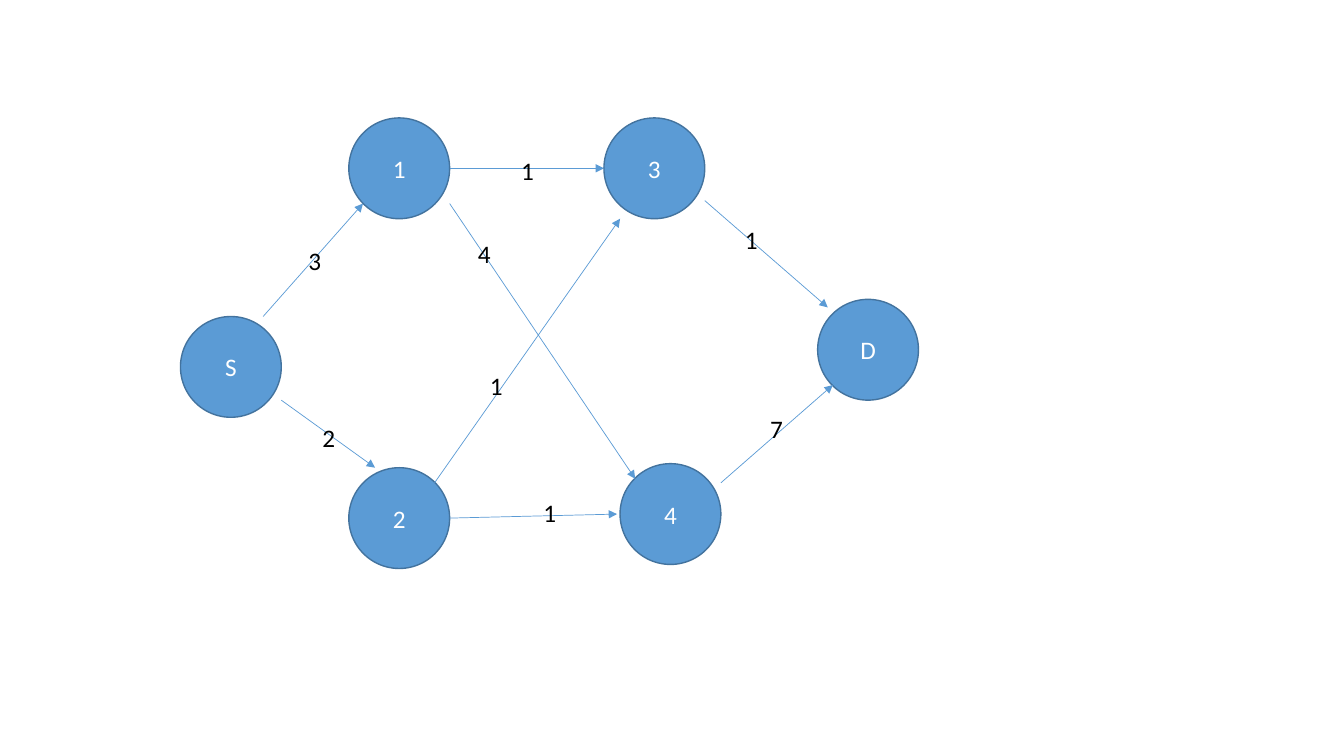
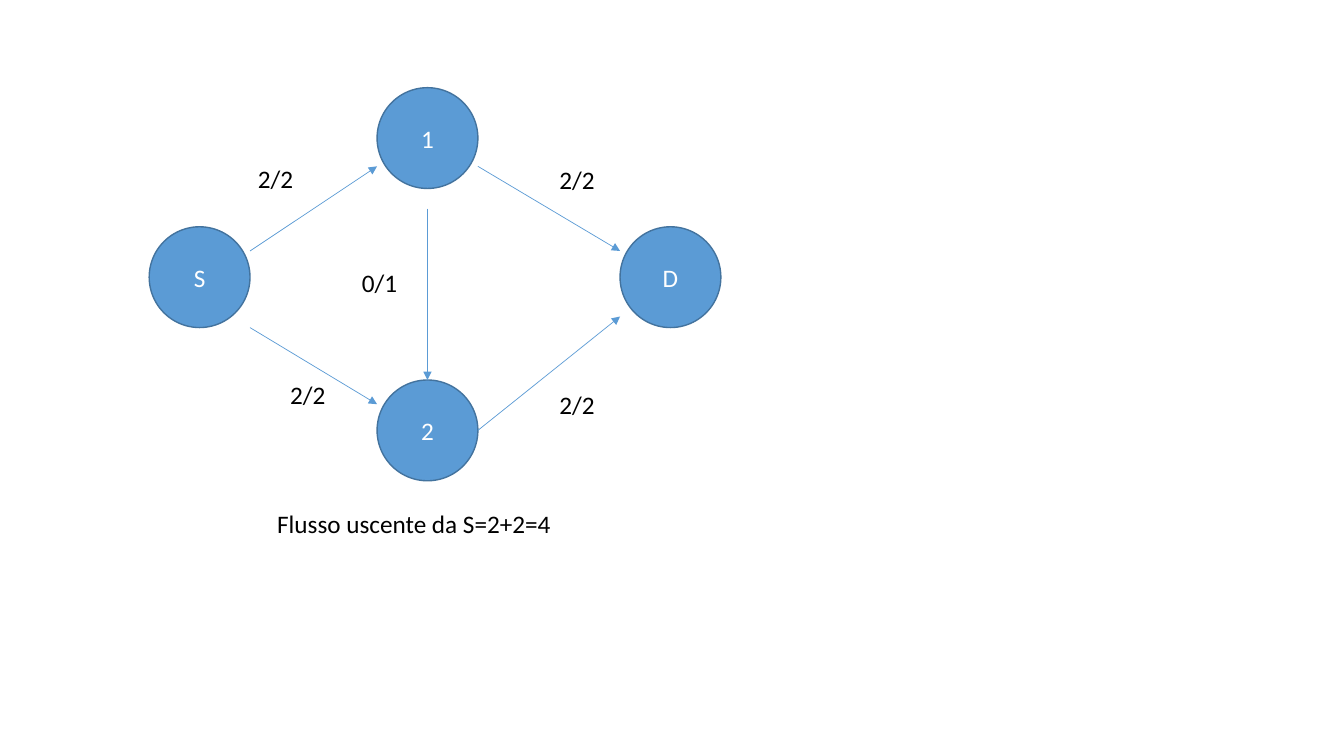
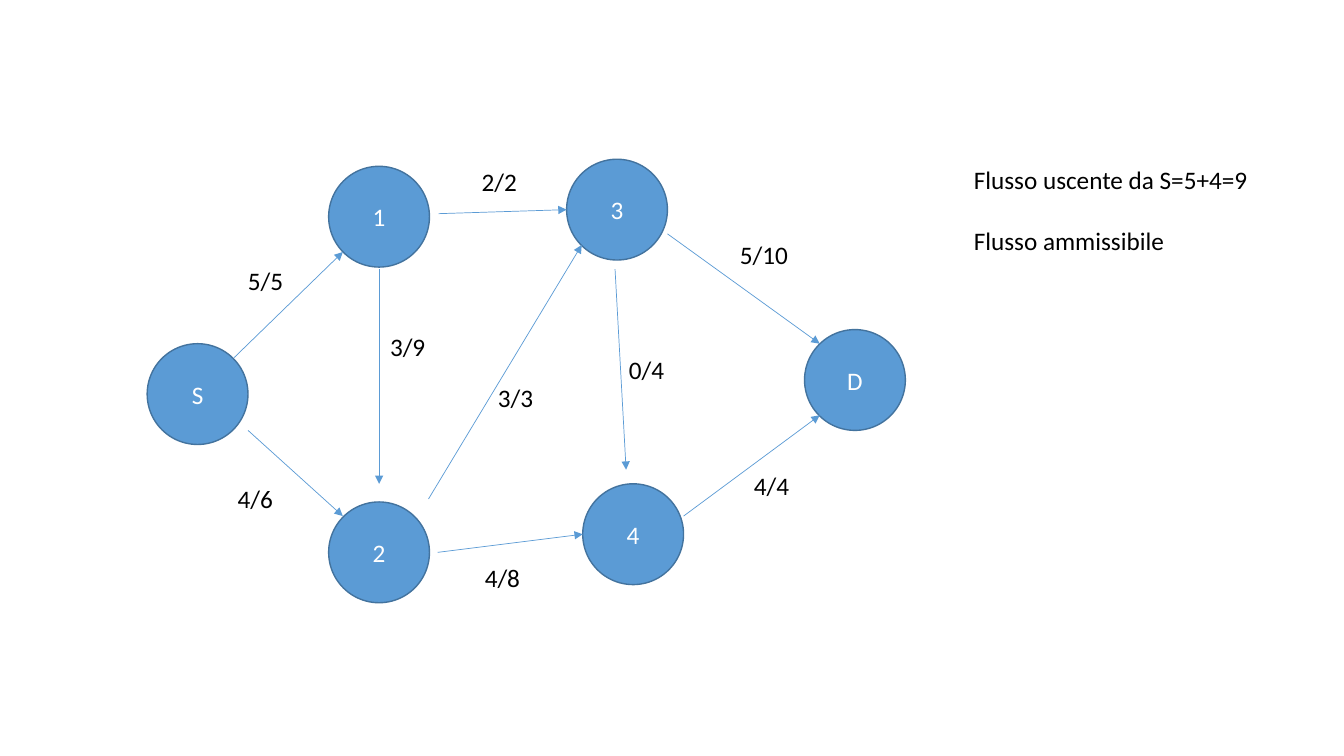
"""Build three slides of flow networks with labelled edges."""

from dataclasses import dataclass

from lxml.etree import SubElement
from pptx import Presentation
from pptx.dml.color import RGBColor
from pptx.enum.shapes import MSO_CONNECTOR, MSO_SHAPE
from pptx.enum.text import MSO_ANCHOR, MSO_AUTO_SIZE, PP_ALIGN
from pptx.oxml.ns import qn
from pptx.shapes.autoshape import Shape
from pptx.slide import Slide
from pptx.util import Emu, Pt

PX_PER_INCH = 100
EMU_PER_PX = 914400 // PX_PER_INCH
SLIDE_W, SLIDE_H = 1333, 750
NODE_SIZE = 100
LABEL_H = 40
LABEL_PADDING, CHAR_W = 20, 12
CAPTION_W = 295

BLUE = RGBColor(0x5B, 0x9B, 0xD5)
DARK_BLUE = RGBColor(0x43, 0x73, 0x9E)
WHITE = RGBColor(0xFF, 0xFF, 0xFF)
BLACK = RGBColor(0x00, 0x00, 0x00)
FONT = "Calibri"
FONT_SIZE = Pt(18)
PARAGRAPH_GAP = Pt(22)


@dataclass(frozen=True)
class Node:
    name: str
    x: int
    y: int


@dataclass(frozen=True)
class Edge:
    x1: int
    y1: int
    x2: int
    y2: int


@dataclass(frozen=True)
class Label:
    text: str
    x: int
    y: int
    w: int = 0
    h: int = LABEL_H


@dataclass(frozen=True)
class Network:
    nodes: list[Node]
    edges: list[Edge]
    labels: list[Label]


NETWORKS = [
    Network(
        nodes=[
            Node("S", 179, 314),
            Node("D", 811, 297),
            Node("4", 615, 460),
            Node("3", 599, 117),
            Node("2", 346, 464),
            Node("1", 346, 117),
        ],
        edges=[
            Edge(261, 314, 360, 202),
            Edge(279, 397, 372, 464),
            Edge(446, 167, 599, 167),
            Edge(446, 202, 630, 475),
            Edge(431, 479, 615, 217),
            Edge(446, 514, 612, 510),
            Edge(699, 199, 821, 305),
            Edge(715, 479, 826, 382),
        ],
        labels=[
            Label("3", 296, 238),
            Label("2", 310, 414),
            Label("1", 507, 149),
            Label("4", 464, 232),
            Label("1", 476, 362),
            Label("1", 529, 488),
            Label("1", 729, 218),
            Label("7", 754, 405),
        ],
    ),
    Network(
        nodes=[
            Node("S", 148, 225),
            Node("D", 615, 225),
            Node("2", 374, 377),
            Node("1", 374, 87),
        ],
        edges=[
            Edge(248, 249, 374, 165),
            Edge(248, 325, 374, 401),
            Edge(424, 207, 424, 377),
            Edge(474, 165, 615, 249),
            Edge(474, 427, 615, 314),
        ],
        labels=[
            Label("2/2", 246, 157),
            Label("2/2", 545, 158),
            Label("2/2", 545, 381),
            Label("2/2", 278, 371),
            Label("0/1", 349, 260),
            Label("Flusso uscente da S=2+2=4", 265, 499, CAPTION_W),
        ],
    ),
    Network(
        nodes=[
            Node("S", 146, 341),
            Node("D", 798, 327),
            Node("4", 578, 480),
            Node("3", 562, 158),
            Node("2", 326, 498),
            Node("1", 326, 165),
        ],
        edges=[
            Edge(232, 355, 340, 250),
            Edge(246, 427, 340, 512),
            Edge(376, 267, 376, 480),
            Edge(435, 212, 562, 208),
            Edge(425, 495, 577, 243),
            Edge(434, 548, 578, 530),
            Edge(610, 267, 621, 466),
            Edge(662, 232, 813, 341),
            Edge(678, 512, 813, 412),
        ],
        labels=[
            Label("5/5", 236, 258),
            Label("4/6", 226, 475),
            Label("3/9", 377, 324),
            Label("2/2", 468, 160),
            Label("3/3", 484, 374),
            Label("4/8", 471, 553),
            Label("0/4", 614, 347),
            Label("5/10", 724, 233),
            Label("4/4", 738, 462),
            Label("Flusso uscente da S=5+4=9\nFlusso ammissibile", 956, 158, CAPTION_W, 101),
        ],
    ),
]


def px(n: int) -> Emu:
    """Turn pixels into EMU."""
    return Emu(n * EMU_PER_PX)


def set_text(
    sp: Shape,
    text: str,
    *,
    color: RGBColor = BLACK,
    align: PP_ALIGN = PP_ALIGN.LEFT,
    anchor: MSO_ANCHOR = MSO_ANCHOR.TOP,
    wrap: bool = False,
    auto_size: MSO_AUTO_SIZE = MSO_AUTO_SIZE.SHAPE_TO_FIT_TEXT,
) -> None:
    """Write one paragraph per line of text."""
    tf = sp.text_frame
    tf.word_wrap = wrap
    tf.auto_size = auto_size
    tf.vertical_anchor = anchor
    for i, line in enumerate(text.split("\n")):
        p = tf.add_paragraph() if i else tf.paragraphs[0]
        p.alignment = align
        if i:
            p.space_before = PARAGRAPH_GAP
        r = p.add_run()
        r.text = line
        r.font.name = FONT
        r.font.size = FONT_SIZE
        r.font.color.rgb = color


def draw_node(s: Slide, node: Node) -> None:
    """Draw a named circle."""
    sp = s.shapes.add_shape(
        MSO_SHAPE.OVAL, px(node.x), px(node.y), px(NODE_SIZE), px(NODE_SIZE)
    )
    sp.shadow.inherit = False
    sp.fill.solid()
    sp.fill.fore_color.rgb = BLUE
    sp.line.color.rgb = DARK_BLUE
    sp.line.width = Pt(1)
    set_text(
        sp,
        node.name,
        color=WHITE,
        align=PP_ALIGN.CENTER,
        anchor=MSO_ANCHOR.MIDDLE,
        wrap=True,
        auto_size=MSO_AUTO_SIZE.NONE,
    )


def draw_edge(s: Slide, edge: Edge) -> None:
    """Draw an arrow."""
    cxn = s.shapes.add_connector(
        MSO_CONNECTOR.STRAIGHT, px(edge.x1), px(edge.y1), px(edge.x2), px(edge.y2)
    )
    cxn.line.color.rgb = BLUE
    cxn.line.width = Pt(0.5)
    sp_pr = cxn._element.spPr
    SubElement(sp_pr.find(qn("a:ln")), qn("a:tailEnd"), type="triangle")
    SubElement(sp_pr, qn("a:effectLst"))


def draw_label(s: Slide, label: Label) -> None:
    """Draw a text box, sized by its characters unless a width is given."""
    w = label.w or LABEL_PADDING + CHAR_W * len(label.text)
    sp = s.shapes.add_textbox(px(label.x), px(label.y), px(w), px(label.h))
    set_text(sp, label.text)


def main() -> None:
    """Draw each network on its own slide and save."""
    prs = Presentation()
    prs.slide_width, prs.slide_height = px(SLIDE_W), px(SLIDE_H)
    blank = prs.slide_layouts[6]
    for network in NETWORKS:
        s = prs.slides.add_slide(blank)
        for node in network.nodes:
            draw_node(s, node)
        for edge in network.edges:
            draw_edge(s, edge)
        for label in network.labels:
            draw_label(s, label)
    prs.save("out.pptx")


if __name__ == "__main__":
    main()
